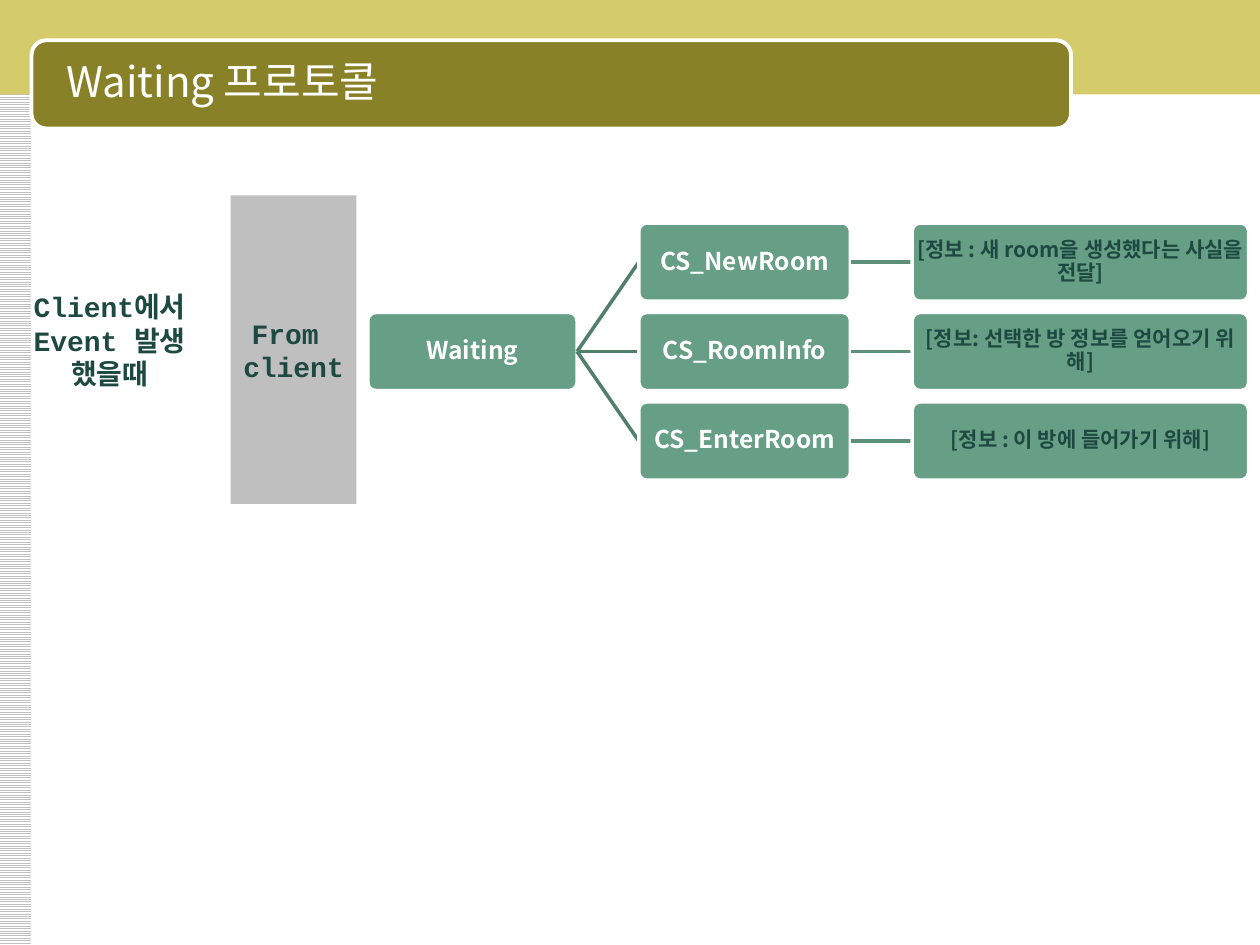
from lxml.etree import SubElement
from pptx import Presentation
from pptx.dml.color import RGBColor
from pptx.enum.dml import MSO_PATTERN
from pptx.enum.shapes import MSO_CONNECTOR, MSO_SHAPE
from pptx.enum.text import MSO_ANCHOR, PP_ALIGN
from pptx.oxml.ns import qn
from pptx.util import Inches, Pt

SANS = "Noto Sans CJK KR"
MONO = "Courier New"
WHITE, DARK, GREEN = "FFFFFF", "1D4940", "669E86"


def color(value):
    return RGBColor.from_string(value)


class ProtocolSlide:
    def __init__(self, slide):
        self.slide = slide

    def box(self, place, fill, kind=MSO_SHAPE.RECTANGLE, line=None, width=2, corner=None):
        shape = self.slide.shapes.add_shape(kind, *map(Inches, place))
        shape.shadow.inherit = False
        shape.fill.solid()
        shape.fill.fore_color.rgb = color(fill)
        if line:
            shape.line.color.rgb = color(line)
            shape.line.width = Pt(width)
        else:
            shape.line.fill.background()
        if corner is not None:
            shape.adjustments[0] = corner
        return shape

    def striped_band(self, place):
        shape = self.box(place, WHITE)
        shape.fill.patterned()
        shape.fill.pattern = MSO_PATTERN.LIGHT_HORIZONTAL
        shape.fill.fore_color.rgb = color("C0C0C0")
        shape.fill.back_color.rgb = color(WHITE)

    def text_box(self, place):
        return self.slide.shapes.add_textbox(*map(Inches, place))

    def add_text(self, shape, lines, size, ink, font=SANS, bold=True, align=PP_ALIGN.CENTER,
                 anchor=MSO_ANCHOR.MIDDLE, wrap=True, spacing=None, inset=None):
        frame = shape.text_frame
        frame.word_wrap = wrap
        frame.vertical_anchor = anchor
        if inset is not None:
            frame.margin_left = frame.margin_right = Inches(inset)
            frame.margin_top = frame.margin_bottom = Inches(inset)
        for index, line in enumerate(lines):
            paragraph = frame.add_paragraph() if index else frame.paragraphs[0]
            paragraph.alignment = align
            if spacing:
                paragraph.line_spacing = spacing
            run = paragraph.add_run()
            run.text = line
            run.font.size = Pt(size)
            run.font.bold = bold
            run.font.name = font
            run.font.color.rgb = color(ink)
            # Korean glyphs use the East Asian typeface
            SubElement(run._r.get_or_add_rPr(), qn("a:ea"), typeface=SANS)
        return frame

    def node(self, left, middle, width, text, size=14, ink=WHITE):
        shape = self.box((left, middle - NODE_HEIGHT / 2, width, NODE_HEIGHT), GREEN,
                         MSO_SHAPE.ROUNDED_RECTANGLE, WHITE, corner=0.1)
        self.add_text(shape, [text], size, ink, spacing=0.9, inset=0.01)

    def link(self, start, end, ink):
        connector = self.slide.shapes.add_connector(
            MSO_CONNECTOR.STRAIGHT, *map(Inches, start + end))
        connector.line.color.rgb = color(ink)
        connector.line.width = Pt(2)
        SubElement(connector._element.spPr, qn("a:effectLst"))


presentation = Presentation()
presentation.slide_width, presentation.slide_height = Inches(10), Inches(7.5)
page = ProtocolSlide(presentation.slides.add_slide(presentation.slide_layouts[6]))

# Background bands and title
page.striped_band((-0.01, 0, 0.26, 7.5))
page.box((-0.01, 0, 10.02, 0.75), "D4CC6A")
page.box((0.25, 0.32, 8.25, 0.7), "888128", MSO_SHAPE.ROUNDED_RECTANGLE, WHITE, 2.25, 0.167)
title = page.add_text(page.text_box((0.33, 0.33, 8.08, 0.62)), ["Waiting 프로토콜 "], 24, WHITE,
                      bold=False, align=PP_ALIGN.LEFT)
properties = title.paragraphs[0]._p.get_or_add_pPr()
properties.set("marL", str(Inches(0.49)))
properties.set("indent", str(Inches(-0.39)))

# Message tree: root, message names, explanations
NODE_HEIGHT, ROW_STEP, ROOT_MIDDLE = 0.62, 0.71, 2.79
ROOT_LEFT, ROOT_WIDTH = 2.92, 1.66
NAME_LEFT, NAME_WIDTH = 5.07, 1.68
INFO_LEFT, INFO_WIDTH = 7.24, 2.67
messages = [
    ("CS_NewRoom", "[정보 : 새 room을 생성했다는 사실을 전달]"),
    ("CS_RoomInfo", "[정보: 선택한 방 정보를 얻어오기 위해]"),
    ("CS_EnterRoom", "[정보 : 이 방에 들어가기 위해]"),
]
page.node(ROOT_LEFT, ROOT_MIDDLE, ROOT_WIDTH, "Waiting")
for row, (name, info) in enumerate(messages):
    middle = ROOT_MIDDLE + (row - 1) * ROW_STEP
    page.link((ROOT_LEFT + ROOT_WIDTH, ROOT_MIDDLE), (NAME_LEFT, middle), "527F6B")
    page.node(NAME_LEFT, middle, NAME_WIDTH, name)
    page.link((NAME_LEFT + NAME_WIDTH, middle), (INFO_LEFT, middle), "5D8F7A")
    page.node(INFO_LEFT, middle, INFO_WIDTH, info, 12, DARK)

# Sender column and its trigger
page.add_text(page.box((1.83, 1.55, 1, 2.45), "BFBFBF"), ["From ", "client"], 16, DARK, MONO,
              wrap=False)
page.add_text(page.text_box((0.08, 2.25, 1.58, 0.91)), ["Client에서", "Event 발생", "했을때"],
              16, DARK, MONO, anchor=MSO_ANCHOR.TOP)

presentation.save("out.pptx")
